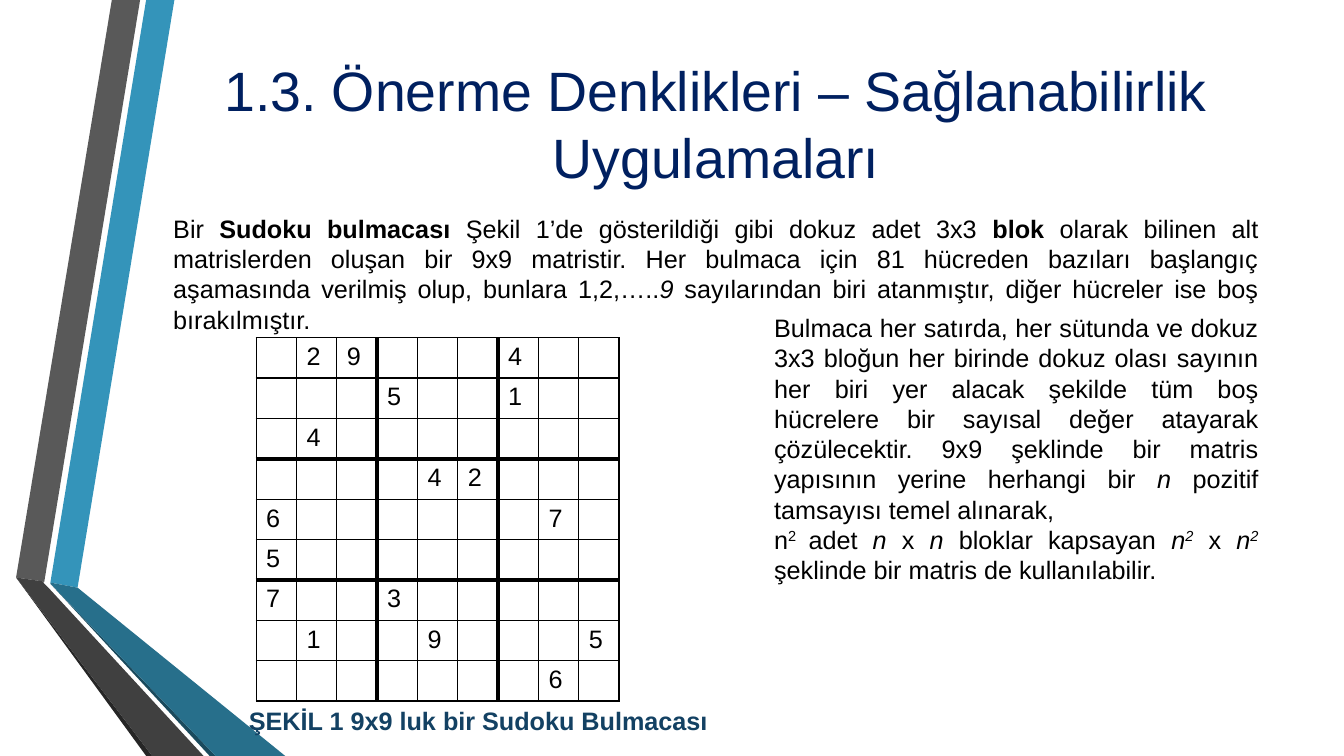
from dataclasses import dataclass
from typing import NamedTuple

from lxml.etree import SubElement
from pptx import Presentation
from pptx.dml.color import RGBColor
from pptx.enum.text import MSO_ANCHOR as Anchor, PP_ALIGN as Align
from pptx.oxml.ns import qn
from pptx.util import Emu, Pt

PX = 9144  # EMU per px, 100 px to the inch
FONT = "Arial"
LINE_PITCH = 1.2
BODY_SIZE = 18
COLORS = {
    "blue": "3494BA", "deep blue": "276F8B", "blue edge": "1A4A5D",
    "grey": "595959", "dark grey": "404040", "grey edge": "262626",
    "title": "002060", "caption": "134163", "text": "000000",
}


class Run(NamedTuple):
    text: str
    style: str = ""  # any of b (bold), i (italic), s (superscript)


class Band(NamedTuple):
    color: str
    points: list[tuple[int, int]]


@dataclass
class TextBlock:
    box: tuple[int, int, int, int]
    paragraphs: list[list[Run]]
    align: Align
    size: float = BODY_SIZE
    color: str = "text"
    anchor: Anchor = Anchor.TOP
    wrap: bool = True


def px(length: int) -> Emu:
    return Emu(length * PX)


def rgb(name: str) -> RGBColor:
    return RGBColor.from_string(COLORS[name])


def draw_band(slide, band: Band) -> None:
    start, *rest = band.points
    builder = slide.shapes.build_freeform(*start, scale=PX)
    builder.add_line_segments(rest, close=True)
    ribbon = builder.convert_to_shape()
    ribbon.shadow.inherit = False
    ribbon.fill.solid()
    ribbon.fill.fore_color.rgb = rgb(band.color)
    ribbon.line.fill.background()


def add_run(paragraph, part: Run, size: float, color: str) -> None:
    run = paragraph.add_run()
    run.text = part.text
    font_format = {"name": FONT, "size": Pt(size),
                   "bold": "b" in part.style, "italic": "i" in part.style}
    for attribute, value in font_format.items():
        setattr(run.font, attribute, value)
    run.font.color.rgb = rgb(color)
    if "s" in part.style:
        run._r.get_or_add_rPr().set("baseline", "30000")


def draw_text(slide, block: TextBlock) -> None:
    frame = slide.shapes.add_textbox(*map(px, block.box)).text_frame
    frame.word_wrap = block.wrap
    frame.vertical_anchor = block.anchor
    for index, parts in enumerate(block.paragraphs):
        paragraph = frame.add_paragraph() if index else frame.paragraphs[0]
        paragraph.alignment = block.align
        paragraph.line_spacing = Pt(block.size * LINE_PITCH)
        for part in parts:
            add_run(paragraph, part, block.size, block.color)


def set_borders(cell, row: int, column: int) -> None:
    """Thick lines separate the 3x3 blocks; all the others are thin."""
    edges = {"lnL": column, "lnR": column + 1, "lnT": row, "lnB": row + 1}
    properties = cell._tc.get_or_add_tcPr()
    for tag, grid_line in edges.items():
        width = Pt(3 if grid_line in (3, 6) else 1)
        line = SubElement(properties, qn(f"a:{tag}"), w=str(width))
        fill = SubElement(line, qn("a:solidFill"))
        SubElement(fill, qn("a:srgbClr"), val=COLORS["text"])


def draw_sudoku(slide, puzzle: list[str], left: int, top: int, side: int) -> None:
    count = len(puzzle)
    extent = px(side * count)
    table = slide.shapes.add_table(
        count, count, px(left), px(top), extent, extent).table
    table.first_row = table.horz_banding = False
    for row, digits in enumerate(puzzle):
        table.rows[row].height = px(side)
        table.columns[row].width = px(side)
        for column, digit in enumerate(digits):
            cell = table.cell(row, column)
            set_borders(cell, row, column)
            cell.fill.background()
            paragraph = cell.text_frame.paragraphs[0]
            if digit == ".":
                paragraph.font.size = Pt(BODY_SIZE)
            else:
                add_run(paragraph, Run(digit), BODY_SIZE, "text")


BANDS = [
    Band("blue", [(50, 578), (77, 583), (173, 0), (145, 0)]),
    Band("grey", [(139, 0), (111, 0), (16, 573), (44, 577)]),
    Band("grey edge", [(16, 573), (145, 750), (151, 750)]),
    Band("blue edge", [(50, 579), (208, 750), (214, 750)]),
    Band("deep blue", [(50, 579), (214, 750), (283, 750), (77, 583), (50, 578)]),
    Band("dark grey", [(202, 750), (48, 583), (43, 578), (44, 577), (16, 573),
                       (151, 750)]),
]

PUZZLE = [
    ".29...4..",
    "...5..1..",
    ".4.......",
    "....42...",
    "6......7.",
    "5........",
    "7..3.....",
    ".1..9...5",
    ".......6.",
]

TITLE = TextBlock(
    (162, 45, 1096, 154),
    [[Run("1.3. Önerme Denklikleri – Sağlanabilirlik Uygulamaları")]],
    Align.CENTER, size=39.6, color="title", anchor=Anchor.MIDDLE)

INTRO = TextBlock(
    (162, 154, 1096, 235),
    [[Run("Bir "), Run("Sudoku bulmacası ", "b"),
      Run("Şekil 1’de gösterildiği gibi dokuz adet 3x3 "), Run("blok ", "b"),
      Run("olarak bilinen alt matrislerden oluşan bir 9x9 matristir. Her bulmaca "
          "için 81 hücreden bazıları başlangıç aşamasında verilmiş olup, bunlara "
          "1,2,….."),
      Run("9", "i"),
      Run(" sayılarından biri atanmıştır, diğer hücreler ise boş bırakılmıştır.")]],
    Align.JUSTIFY, anchor=Anchor.MIDDLE)

CAPTION = TextBlock(
    (231, 695, 487, 40), [[Run("ŞEKİL 1 9x9 luk bir Sudoku Bulmacası", "b")]],
    Align.CENTER, color="caption", wrap=False)

RULES = TextBlock(
    (758, 305, 500, 374),
    [[Run("Bulmaca her satırda, her sütunda ve dokuz 3x3 bloğun her birinde dokuz "
          "olası sayının her biri yer alacak şekilde tüm boş hücrelere bir sayısal "
          "değer atayarak çözülecektir. 9x9 şeklinde bir matris yapısının yerine "
          "herhangi bir "),
      Run("n", "i"), Run(" pozitif tamsayısı temel alınarak,")],
     [Run("n"), Run("2 ", "s"), Run("adet "), Run("n", "i"), Run(" x "),
      Run("n", "i"), Run(" bloklar kapsayan "), Run("n", "i"), Run("2", "is"),
      Run(" x "), Run("n", "i"), Run("2", "is"),
      Run(" şeklinde bir matris de kullanılabilir.")]],
    Align.JUSTIFY)


def main() -> None:
    deck = Presentation()
    deck.slide_width, deck.slide_height = px(1333), px(750)
    slide = deck.slides.add_slide(deck.slide_layouts[6])

    # Folded ribbons on the left
    for band in BANDS:
        draw_band(slide, band)

    # Heading and introduction
    draw_text(slide, TITLE)
    draw_text(slide, INTRO)

    # Puzzle, its caption and the rules
    draw_sudoku(slide, PUZZLE, left=254, top=335, side=40)
    draw_text(slide, CAPTION)
    draw_text(slide, RULES)

    deck.save("out.pptx")


if __name__ == "__main__":
    main()
